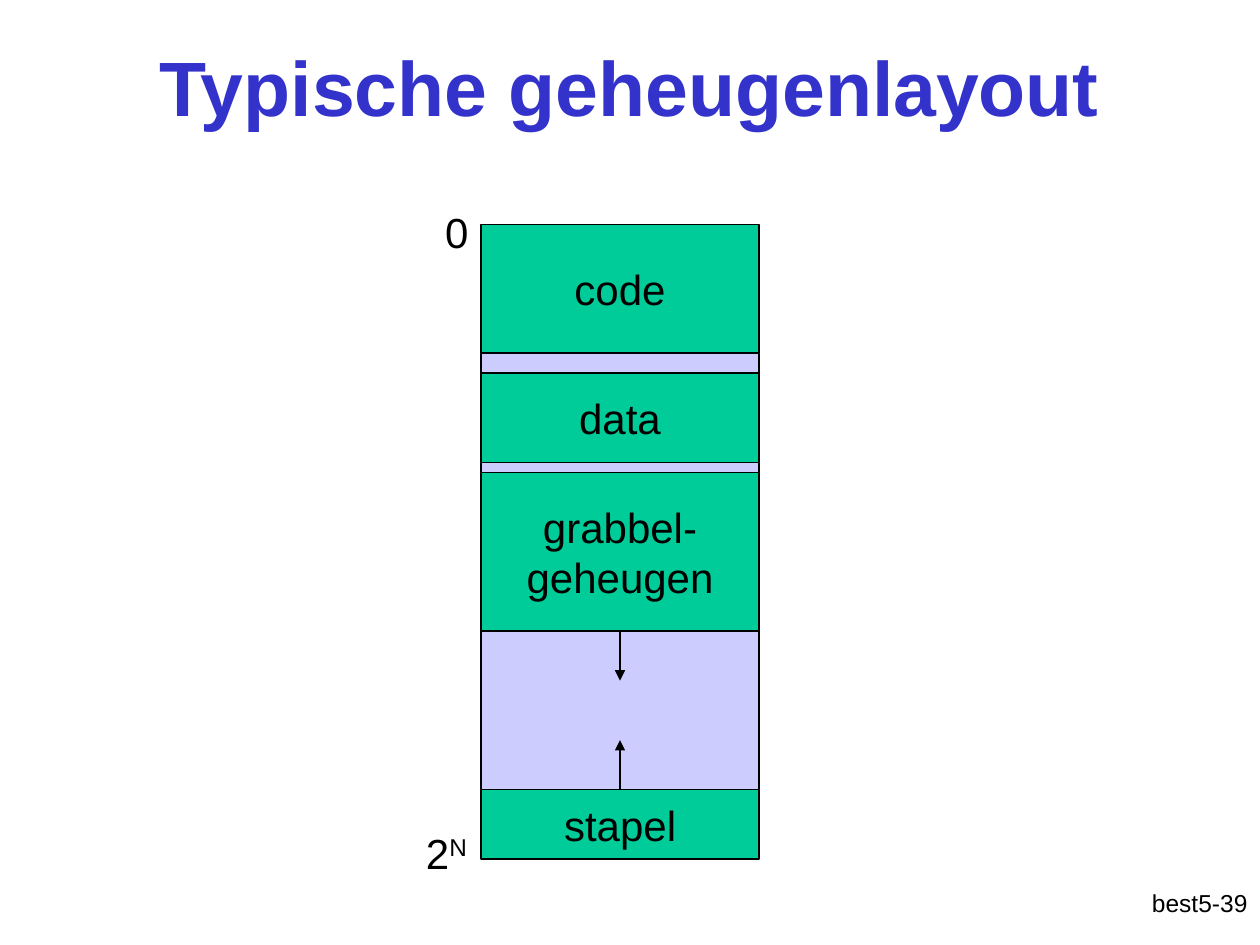
import pptx
import pptx.util
import pptx.dml.color
import pptx.enum.shapes
import pptx.enum.text
import pptx.oxml.ns
from lxml import etree

Cm, Pt = pptx.util.Cm, pptx.util.Pt
ALIGN = pptx.enum.text.PP_ALIGN
MIDDLE = pptx.enum.text.MSO_ANCHOR.MIDDLE

COLORS = {"title": "3333CC", "used": "00CC99", "free": "CCCCFF", "ink": "000000"}
TITLE = "Typische geheugenlayout"
PAGE = "best5-39"
# (text, height in cm), from low to high addresses; empty text is free memory
SEGMENTS = [
    ("code", 2.6),
    ("", 0.4),
    ("data", 1.8),
    ("", 0.2),
    ("grabbel-\ngeheugen", 3.2),
    ("", 3.2),
    ("stapel", 1.4),
]
# (segment, side of it, direction of growth)
GROWTH = [("grabbel-\ngeheugen", 2, 1), ("stapel", 0, -1)]
# (base, exponent, left, top, width) in cm
ADDRESSES = [("0", "", 8.71, 3.94, 1), ("2", "N", 8.1, 16.46, 1.8)]
LEFT, TOP, WIDTH, ARROW = 9.7, 4.52, 5.6, 1


def rgb(name):
    return pptx.dml.color.RGBColor.from_string(COLORS[name])


def format_text(tf, size, align=ALIGN.CENTER, color="ink", bold=False):
    for p in tf.paragraphs:
        p.alignment = align
        for r in p.runs:
            r.font.name = "Arial"
            r.font.size = Pt(size)
            r.font.bold = bold
            r.font.color.rgb = rgb(color)


def add_label(s, text, left, top, width, height):
    tf = s.shapes.add_textbox(Cm(left), Cm(top), Cm(width), Cm(height)).text_frame
    tf.word_wrap = True
    tf.text = text
    return tf


def add_segment(s, text, top, height):
    sp = s.shapes.add_shape(pptx.enum.shapes.MSO_SHAPE.RECTANGLE,
                            Cm(LEFT), Cm(top), Cm(WIDTH), Cm(height))
    sp.shadow.inherit = False
    sp.fill.solid()
    sp.fill.fore_color.rgb = rgb("used" if text else "free")
    sp.line.color.rgb = rgb("ink")
    sp.line.width = Pt(0.75)
    if text:
        tf = sp.text_frame
        tf.text = text
        tf.word_wrap = False
        tf.vertical_anchor = MIDDLE
        format_text(tf, 24)
    return sp


def add_growth_arrow(s, sp, side, direction):
    x = sp.left + sp.width // 2
    y = sp.top + (sp.height if side == 2 else 0)
    line = s.shapes.add_connector(pptx.enum.shapes.MSO_CONNECTOR.STRAIGHT,
                                  x, y, x, y + direction * Cm(ARROW))
    line.begin_connect(sp, side)
    line.line.color.rgb = rgb("ink")
    line.line.width = Pt(0.75)
    qn = pptx.oxml.ns.qn
    etree.SubElement(line.line._get_or_add_ln(), qn("a:tailEnd"), type="triangle")
    etree.SubElement(line._element.spPr, qn("a:effectLst"))


def main():
    prs = pptx.Presentation()
    prs.slide_width, prs.slide_height = Cm(25.4), Cm(19.05)
    s = prs.slides.add_slide(prs.slide_layouts[5])

    title = s.shapes.title
    title.left, title.top, title.width, title.height = Cm(1.9), Cm(0.13), Cm(21.6), Cm(3.18)
    title.text_frame.text = TITLE
    title.text_frame.vertical_anchor = MIDDLE
    format_text(title.text_frame, 44, color="title", bold=True)

    segments = {}
    top = TOP
    for text, height in SEGMENTS:
        segments[text] = add_segment(s, text, top, height)
        top += height
    for text, side, direction in GROWTH:
        add_growth_arrow(s, segments[text], side, direction)

    for base, exponent, left, y, width in ADDRESSES:
        tf = add_label(s, base, left, y, width, 1.27)
        tf.margin_top = Cm(0.22)
        if exponent:
            r = tf.paragraphs[0].add_run()
            r.text = exponent
            r.font._element.set("baseline", "30000")
        format_text(tf, 24)

    format_text(add_label(s, PAGE, 20.12, 17.78, 5.28, 1.27), 14, ALIGN.RIGHT)
    prs.save("out.pptx")


if __name__ == "__main__":
    main()
